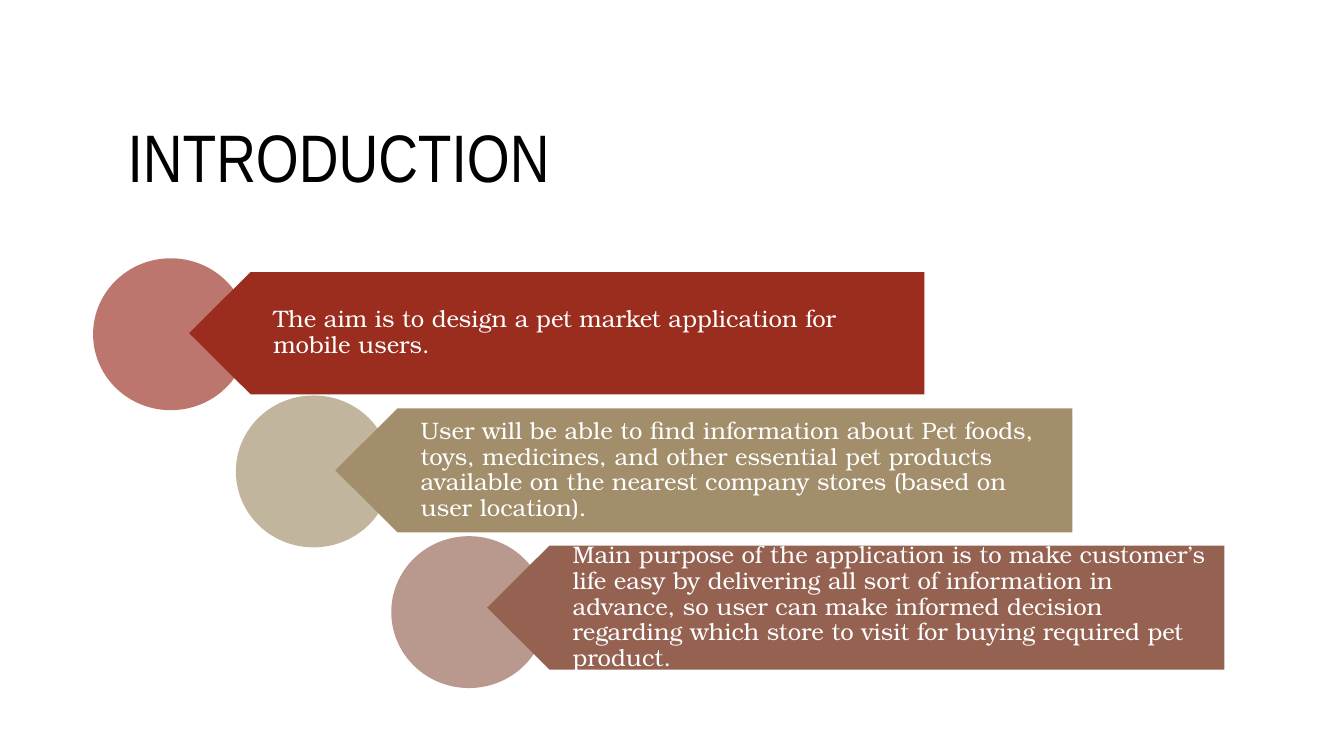
from dataclasses import dataclass

from lxml import etree
from pptx import Presentation
from pptx.dml.color import RGBColor
from pptx.enum.shapes import MSO_SHAPE
from pptx.enum.text import MSO_ANCHOR, PP_ALIGN
from pptx.oxml.ns import qn
from pptx.util import Pt

OVAL = MSO_SHAPE.OVAL
MIDDLE = MSO_ANCHOR.MIDDLE
LEFT = PP_ALIGN.LEFT

TITLE_FONT = "Arial Narrow"
BODY_FONT = "TeX Gyre Bonum"
WHITE = "FFFFFF"
BLACK = "000000"

BAND_W, BAND_H, POINT_W = 526.5, 88.5, 44.5
BAND_TOP, BAND_STEP = 193.75, 98
CIRCLE_W, CIRCLE_H = 111, 108.5


@dataclass
class Step:
    text: str
    color: str
    band_left: float
    circle_left: float
    circle_top: float
    outline: str = ""


STEPS = [
    Step("The aim is to design a pet market application for mobile users.",
         "9B2D1F", 134.25, 66.5, 184.5, WHITE),
    Step("User will be able to find information about Pet foods, toys, medicines, "
         "and other essential pet products available on the nearest company stores "
         "(based on user location).",
         "A28E6A", 239.5, 168.5, 282.5),
    Step("Main purpose of the application is to make customer’s life easy by "
         "delivering all sort of information in advance, so user can make informed "
         "decision regarding which store to visit for buying required pet product.",
         "956251", 348, 279.5, 383),
]


def rgb(color: str) -> RGBColor:
    return RGBColor.from_string(color)


def paint(sp, color: str, outline: str = "") -> None:
    sp.shadow.inherit = False
    sp.fill.solid()
    sp.fill.fore_color.rgb = rgb(color)
    if outline:
        sp.line.color.rgb = rgb(outline)
        sp.line.width = Pt(1)
    else:
        sp.line.fill.background()


def write(tf, text: str, font: str, size: float, color: str) -> None:
    tf.word_wrap = True
    tf.vertical_anchor = MIDDLE
    p = tf.paragraphs[0]
    p.alignment = LEFT
    p.line_spacing = 0.9
    r = p.add_run()
    r.text = text
    r.font.name = font
    r.font.size = Pt(size)
    r.font.color.rgb = rgb(color)


def add_title(s, text: str) -> None:
    sp = s.shapes.title
    sp.left, sp.top, sp.width, sp.height = Pt(84), Pt(64), Pt(792), Pt(101)
    write(sp.text_frame, text, TITLE_FONT, 48, BLACK)


def add_circle(s, step: Step) -> None:
    sp = s.shapes.add_shape(OVAL, Pt(step.circle_left), Pt(step.circle_top),
                            Pt(CIRCLE_W), Pt(CIRCLE_H))
    paint(sp, step.color)
    color = sp.fill._xPr.find(qn("a:solidFill"))[0]
    etree.SubElement(color, qn("a:alpha")).set("val", "65000")


def add_band(s, step: Step, top: float) -> None:
    """Draw a band with a pointed left end and its text."""
    left, right, bottom = step.band_left, step.band_left + BAND_W, top + BAND_H
    shoulder = left + POINT_W
    outline = [(right, bottom), (shoulder, bottom), (left, top + BAND_H / 2),
               (shoulder, top), (right, top)]
    points = [(Pt(x), Pt(y)) for x, y in outline]
    builder = s.shapes.build_freeform(*points[0])
    builder.add_line_segments(points[1:], close=True)
    sp = builder.convert_to_shape()
    paint(sp, step.color, step.outline)
    tf = sp.text_frame
    tf.margin_left, tf.margin_right = Pt(61), Pt(9.5)
    tf.margin_top = tf.margin_bottom = Pt(5)
    write(tf, step.text, BODY_FONT, 17, WHITE)


def main() -> None:
    prs = Presentation()
    prs.slide_width, prs.slide_height = Pt(960), Pt(540)
    s = prs.slides.add_slide(prs.slide_layouts[5])
    add_title(s, "INTRODUCTION")
    for i, step in enumerate(STEPS):
        add_band(s, step, BAND_TOP + i * BAND_STEP)
        add_circle(s, step)
    prs.save("out.pptx")


if __name__ == "__main__":
    main()
